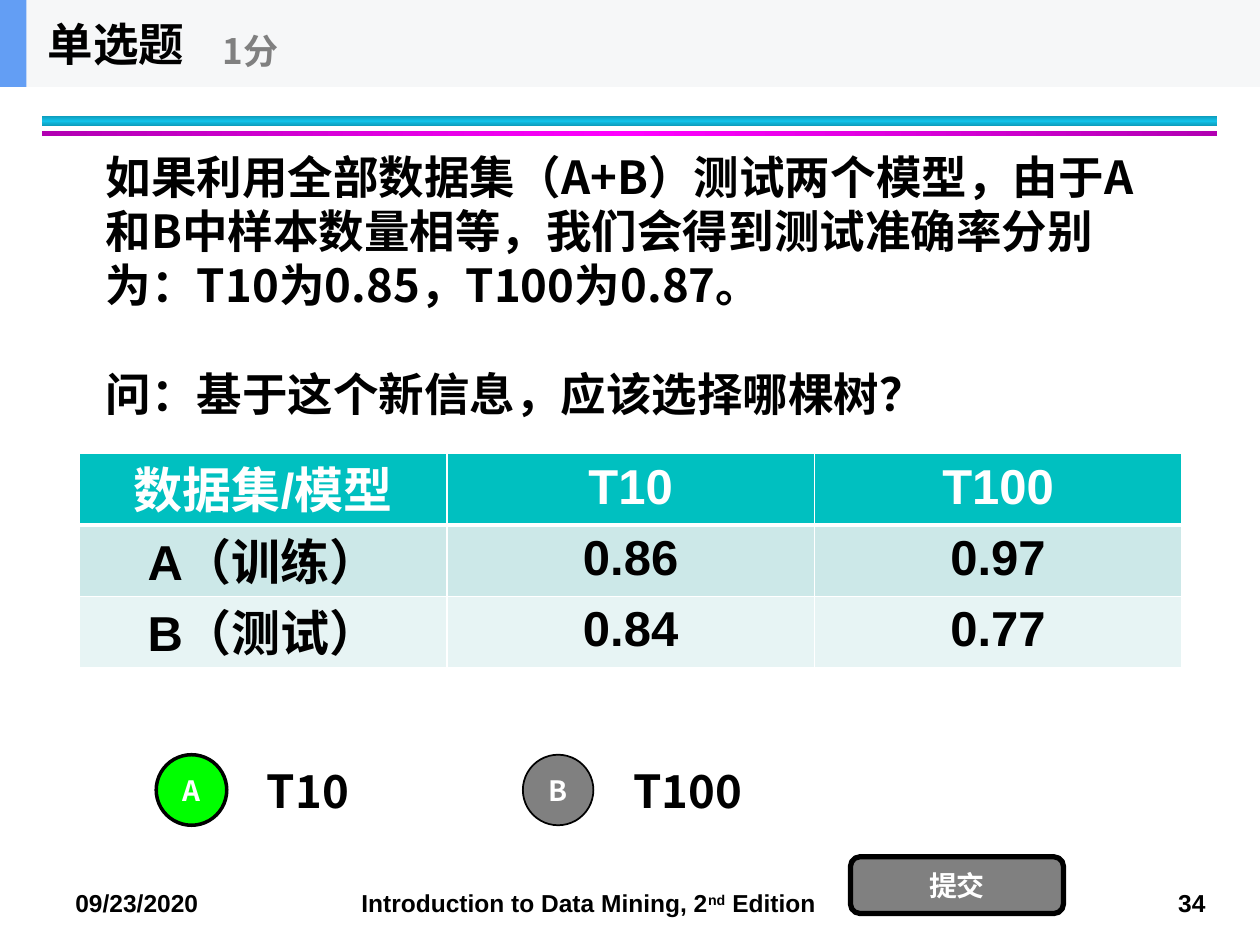
from pptx import Presentation
from pptx import util as u
from pptx.dml.color import RGBColor
from pptx.enum import shapes, text
from pptx.oxml import parse_xml
from pptx.oxml.ns import nsdecls, qn

CJK, LATIN = "Noto Sans CJK SC", "Arial"
COLORS = {
    "black": "000000", "white": "FFFFFF", "gray": "808080", "green": "00FF00",
    "banner": "F6F7F8", "accent": "639EF4",
    "cyan": "12C2E9", "cyan_edge": "0E9BBA",
    "magenta": "FF00FF", "magenta_edge": "B200B2",
    "head": "00C0C0", "band_1": "CCE8E8", "band_2": "E7F4F4",
}
RECT = shapes.MSO_SHAPE.RECTANGLE
OVAL = shapes.MSO_SHAPE.OVAL
ROUNDED = shapes.MSO_SHAPE.ROUNDED_RECTANGLE
CENTER = text.PP_ALIGN.CENTER
MIDDLE = text.MSO_ANCHOR.MIDDLE
TABLE_ROWS = [
    ("数据集/模型", "T10", "T100"),
    ("A（训练）", "0.86", "0.97"),
    ("B（测试）", "0.84", "0.77"),
]


def rgb(name):
    return RGBColor.from_string(COLORS[name])


def style(para, size, color="black", font=CJK):
    for span in para.runs:
        span.font.size = u.Pt(size)
        span.font.bold = True
        span.font.name = font
        span.font.color.rgb = rgb(color)
        east_asian = parse_xml(f'<a:ea {nsdecls("a")} typeface="{CJK}"/>')
        span.font._element.find(qn("a:latin")).addnext(east_asian)


def add_shape(slide, kind, place, fill, line=0, label=""):
    shape = slide.shapes.add_shape(kind, *map(u.Inches, place))
    shape.shadow.inherit = False
    shape.fill.solid()
    shape.fill.fore_color.rgb = rgb(fill)
    if line:
        shape.line.color.rgb = rgb("black")
        shape.line.width = u.Pt(line)
    else:
        shape.line.fill.background()
    if label:
        frame = shape.text_frame
        frame.margin_left = frame.margin_right = 0
        frame.margin_top = frame.margin_bottom = 0
        frame.vertical_anchor = MIDDLE
        frame.text = label
        frame.paragraphs[0].alignment = CENTER
        style(frame.paragraphs[0], 16, "white")
    return shape


def add_rule(slide, place, color, angle):
    """A bar whose gradient is darker at both edges."""
    fill = add_shape(slide, RECT, place, color).fill
    fill.gradient()
    fill.gradient_angle = angle
    stops = fill._fill._gradFill.find(qn("a:gsLst"))
    for stop in list(stops):
        stops.remove(stop)
    for position, name in ((0, color + "_edge"), (50, color), (100, color + "_edge")):
        stops.append(parse_xml(
            f'<a:gs {nsdecls("a")} pos="{position * 1000}">'
            f'<a:srgbClr val="{COLORS[name]}"/></a:gs>'))


def fill_text(box, lines, size, color="black", wrap=True):
    frame = box.text_frame
    frame.word_wrap = wrap
    frame.vertical_anchor = MIDDLE
    frame.text = "\n".join(lines)
    for para in frame.paragraphs:
        para.alignment = text.PP_ALIGN.LEFT
        style(para, size, color)
    return frame


def add_text(slide, place, lines, size, color="black", wrap=True):
    box = slide.shapes.add_textbox(*map(u.Inches, place))
    return fill_text(box, lines, size, color, wrap)


def add_footer(slide):
    box = slide.shapes.add_textbox(*map(u.Inches, (0.5, 7, 9.33, 0.34)))
    box.text_frame.word_wrap = True
    para = box.text_frame.paragraphs[0]
    stops = "".join(f'<a:tab pos="{u.Inches(position)}" algn="{align}"/>'
                    for position, align in ((2.27, "l"), (8.97, "r")))
    para._p.get_or_add_pPr().append(
        parse_xml(f'<a:tabLst {nsdecls("a")}>{stops}</a:tabLst>'))
    for part in ("09/23/2020\tIntroduction to Data Mining, 2", "nd", " Edition\t34"):
        para.add_run().text = part
    style(para, 14, font=LATIN)
    para.runs[1].font._element.set("baseline", "30000")


def set_borders(cell, bottom):
    properties = cell._tc.get_or_add_tcPr()
    widths = {"lnL": 1, "lnR": 1, "lnT": 1, "lnB": bottom}
    for index, (side, width) in enumerate(widths.items()):
        properties.insert(index, parse_xml(
            f'<a:{side} {nsdecls("a")} w="{u.Pt(width)}"><a:solidFill>'
            f'<a:srgbClr val="{COLORS["white"]}"/></a:solidFill></a:{side}>'))


def add_results(slide):
    place = map(u.Inches, (0.63, 3.6, 8.75, 1.7))
    table = slide.shapes.add_table(3, 3, *place).table
    for row, values in enumerate(TABLE_ROWS):
        for column, value in enumerate(values):
            cell = table.cell(row, column)
            cell.text = value
            cell.margin_bottom = 0
            cell.fill.solid()
            cell.fill.fore_color.rgb = rgb(("head", "band_1", "band_2")[row])
            set_borders(cell, 1 if row else 3)
            para = cell.text_frame.paragraphs[0]
            para.alignment = CENTER
            style(para, 28, "black" if row else "white", LATIN)
            if column == 0:
                para.line_spacing = u.Pt(36)


def main():
    deck = Presentation()
    deck.slide_width, deck.slide_height = u.Inches(10), u.Inches(7.5)
    slide = deck.slides.add_slide(deck.slide_layouts[5])

    # Double rule and footer
    add_rule(slide, (0.33, 0.92, 9.33, 0.08), "cyan", 90)
    add_rule(slide, (0.33, 1.04, 9.33, 0.04), "magenta", 0)
    add_footer(slide)

    # Question
    question = add_text(slide, (0.74, 1.09, 8.39, 2.34), [
        "如果利用全部数据集（A+B）测试两个模型，由于A和B中样本数量相等，"
        "我们会得到测试准确率分别为：T10为0.85，T100为0.87。",
        "问：基于这个新信息，应该选择哪棵树？"], 26)
    for para in question.paragraphs:
        para.line_spacing = u.Pt(31)
    question.paragraphs[1].space_before = u.Pt(31)

    # Answers and submit button
    for left, letter, answer, fill, line in (
            (1.24, "A", "T10", "green", 2), (4.15, "B", "T100", "gray", 1)):
        add_shape(slide, OVAL, (left, 5.99, 0.56, 0.56), fill, line, letter)
        add_text(slide, (left + 0.78, 5.92, 2, 0.7), [answer], 26)
    add_shape(slide, ROUNDED, (6.75, 6.8, 1.69, 0.45), "gray", 3, "提交")

    add_results(slide)

    # Banner with the title
    add_shape(slide, RECT, (0, 0, 10, 0.69), "banner")
    add_shape(slide, RECT, (0, 0, 0.21, 0.69), "accent")
    title = slide.shapes.title
    title.left, title.top, title.width, title.height = map(
        u.Inches, (0.28, 0, 1.35, 0.69))
    fill_text(title, ["单选题"], 26, wrap=False)
    slide.shapes._spTree.append(title._element)
    add_text(slide, (1.67, 0.12, 2.5, 0.56), ["1分"], 20, "gray", wrap=False)

    deck.save("out.pptx")


if __name__ == "__main__":
    main()
